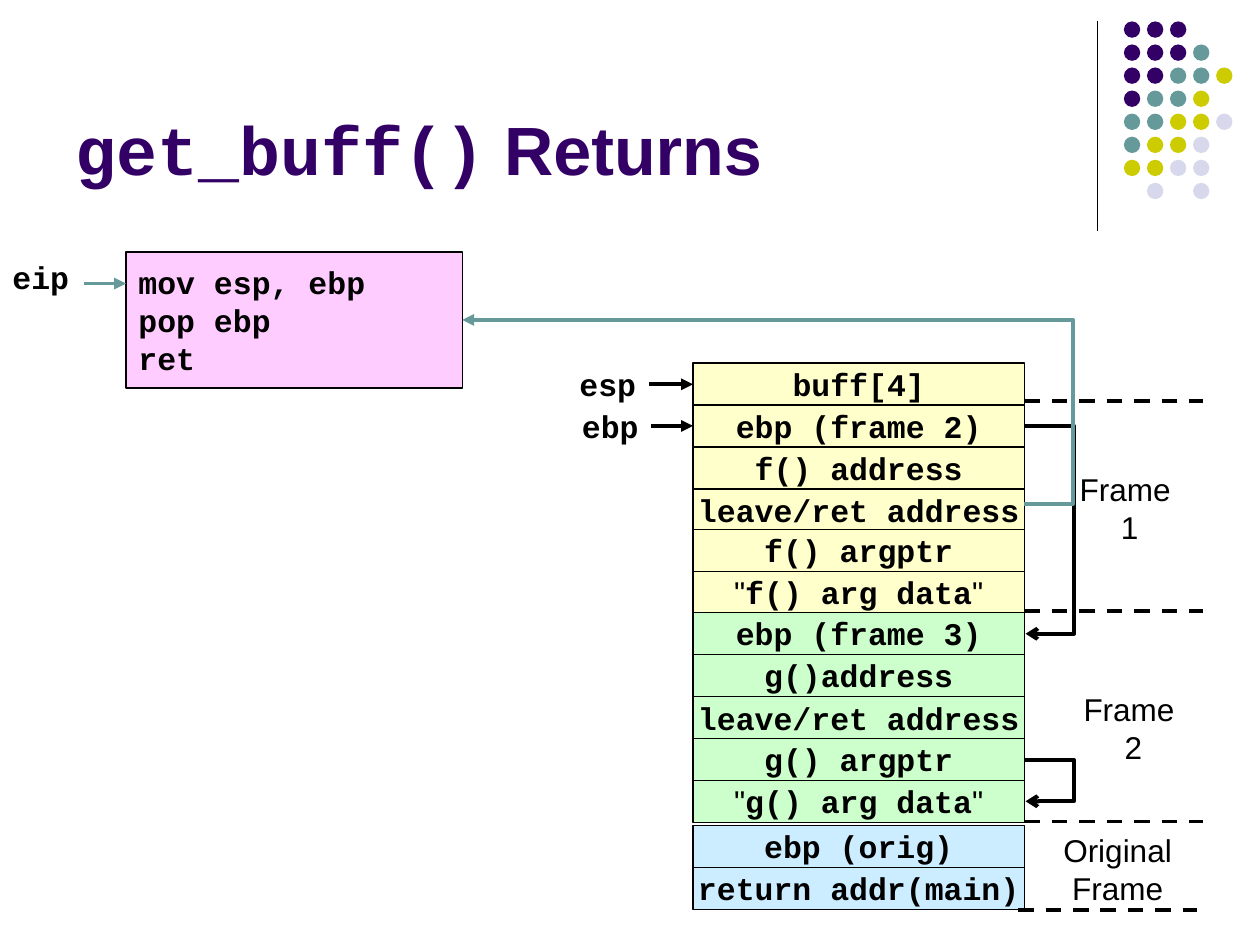
from lxml import etree
from pptx import Presentation
from pptx.dml.color import RGBColor
from pptx.enum.dml import MSO_LINE
from pptx.enum.shapes import MSO_CONNECTOR as CONNECTOR, MSO_SHAPE as SHAPE
from pptx.enum.text import MSO_ANCHOR as ANCHOR, MSO_AUTO_SIZE as AUTO_SIZE, PP_ALIGN as ALIGN
from pptx.oxml.ns import qn
from pptx.util import Inches, Pt

BLACK, PURPLE, TEAL = "000000", "330066", "669999"
YELLOW, GREEN, BLUE, PINK = "FFFFCC", "CCFFCC", "CCECFF", "FFCCFF"
SANS, MONO = "Arial", "Courier New"

DOT_COLORS = {"P": PURPLE, "T": TEAL, "Y": "CCCC00", "L": "D8D8EC"}
DOT_ROWS = ["PPP", "PPPT", "PPTTY", "PTTY", "TTYYL", "TYYL", "YYLL", " L L"]

STACK_LEFT, STACK_RIGHT, ROW_HEIGHT = 5.5, 8.13, 1 / 3
STACKS = [
    (2.88, YELLOW, ["buff[4]", "ebp (frame 2)", "f() address", "leave/ret address"]),
    (4.2, YELLOW, ["f() argptr", '"f() arg data"']),
    (4.86, GREEN, ["ebp (frame 3)", "g()address", "leave/ret address",
                   "g() argptr", '"g() arg data"']),
    (6.55, BLUE, ["ebp (orig)", "return addr(main)"]),
]


def rgb(color):
    """Turn a hex string into a colour."""
    return RGBColor.from_string(color)


def add_run(paragraph, text, font=MONO, size=18, bold=True, color=BLACK):
    """Append formatted text to a paragraph."""
    run = paragraph.add_run()
    run.text = text
    run.font.name = font
    run.font.size = Pt(size)
    run.font.bold = bold
    run.font.color.rgb = rgb(color)


def write_lines(frame, text, align=ALIGN.LEFT, **text_format):
    """Fill an unwrapped text frame with one paragraph per line."""
    frame.word_wrap = False
    for index, line in enumerate(text.split("\n")):
        paragraph = frame.add_paragraph() if index else frame.paragraphs[0]
        paragraph.alignment = align
        add_run(paragraph, line, **text_format)


def add_block(shapes, kind, left, top, width, height, fill, outline=None):
    """Add a filled preset shape, outlined if a colour is given."""
    shape = shapes.add_shape(kind, Inches(left), Inches(top), Inches(width), Inches(height))
    shape.shadow.inherit = False
    shape.fill.solid()
    shape.fill.fore_color.rgb = rgb(fill)
    if outline:
        shape.line.color.rgb = rgb(outline)
        shape.line.width = Pt(0.75)
    else:
        shape.line.fill.background()
    shape.text_frame.vertical_anchor = ANCHOR.MIDDLE
    return shape


def add_label(slide, text, left, top, width, height, **text_format):
    """Add a free-standing label."""
    box = slide.shapes.add_textbox(Inches(left), Inches(top), Inches(width), Inches(height))
    write_lines(box.text_frame, text, **text_format)


def add_line(slide, start, end, color=BLACK, width=2.25, dash=None, head=None, bend=None):
    """Add a line, with an elbow through x = bend if that is given."""
    kind = CONNECTOR.STRAIGHT if bend is None else CONNECTOR.ELBOW
    line = slide.shapes.add_connector(kind, *map(Inches, start + end))
    line.line.color.rgb = rgb(color)
    line.line.width = Pt(width)
    if dash:
        line.line.dash_style = dash
    properties = line._element.spPr
    if head:
        etree.SubElement(properties.find(qn("a:ln")), qn("a:tailEnd"), type=head)
    if bend is not None:
        ratio = (bend - start[0]) / (end[0] - start[0])
        guides = properties.find(qn("a:prstGeom")).find(qn("a:avLst"))
        etree.SubElement(guides, qn("a:gd"), name="adj1", fmla=f"val {round(ratio * 100000)}")
    etree.SubElement(properties, qn("a:effectLst"))


def add_dots(slide):
    """Draw the dotted corner ornament and its rule."""
    add_line(slide, (8.71, 0.17), (8.71, 1.83), width=0.75)
    group = slide.shapes.add_group_shape()
    for row, codes in enumerate(DOT_ROWS):
        for column, code in enumerate(codes):
            if code in DOT_COLORS:
                add_block(group.shapes, SHAPE.OVAL, 8.92 + column * 0.183,
                          0.17 + row * 0.183, 0.13, 0.13, DOT_COLORS[code])


def add_title(slide):
    """Place and write the title."""
    title = slide.shapes.title
    title.left, title.top = Inches(0.5), Inches(0.13)
    title.width, title.height = Inches(8.25), Inches(1.42)
    frame = title.text_frame
    frame.auto_size = AUTO_SIZE.NONE
    frame.vertical_anchor = ANCHOR.BOTTOM
    paragraph = frame.paragraphs[0]
    paragraph.alignment = ALIGN.LEFT
    add_run(paragraph, "get_buff()", size=39, color=PURPLE)
    add_run(paragraph, " Returns", font=SANS, size=39, color=PURPLE)


def add_stack_cell(slide, text, top, fill):
    """Add one memory cell, with any quotation marks in the sans font."""
    cell = add_block(slide.shapes, SHAPE.RECTANGLE, STACK_LEFT, top,
                     STACK_RIGHT - STACK_LEFT, ROW_HEIGHT, fill, BLACK)
    cell.text_frame.word_wrap = False
    paragraph = cell.text_frame.paragraphs[0]
    paragraph.alignment = ALIGN.CENTER
    for index, part in enumerate(text.split('"')):
        if index:
            add_run(paragraph, '"', font=SANS, bold=False)
        if part:
            add_run(paragraph, part)


def add_stack(slide):
    """Draw the memory stack with its frame labels and dividers."""
    for top, fill, cells in STACKS:
        for index, text in enumerate(cells):
            add_stack_cell(slide, text, top + index * ROW_HEIGHT, fill)
    for text, left, top, width in [("Frame \n1", 8.47, 3.68, 0.99),
                                   ("Frame \n2", 8.5, 5.43, 0.99),
                                   ("Original\nFrame", 8.34, 6.55, 1.06)]:
        add_label(slide, text, left, top, width, 0.7, align=ALIGN.CENTER, font=SANS, bold=False)
    for left, y in [(8.13, 3.18), (8.13, 4.85), (8.13, 6.52), (8.08, 7.22)]:
        add_line(slide, (left, y), (left + 1.42, y), dash=MSO_LINE.DASH)


def add_code(slide):
    """Draw the block of instructions."""
    block = add_block(slide.shapes, SHAPE.RECTANGLE, 1, 2, 2.67, 1.08, PINK, BLACK)
    write_lines(block.text_frame, "mov esp, ebp\npop ebp\nret")


def add_pointers(slide):
    """Draw the registers and the arrows between cells and code."""
    for start, end in [(3.38, 5.03), (6.03, 6.36)]:
        add_line(slide, (STACK_RIGHT, start), (STACK_RIGHT + 0.01, end),
                 head="arrow", bend=8.53)
    add_line(slide, (STACK_RIGHT, 4), (3.67, 2.54), TEAL, head="triangle", bend=8.52)
    for name, left, top, start, end, color in [
        ("ebp", 4.52, 3.18, (5.17, 3.38), (5.5, 3.38), BLACK),
        ("esp", 4.5, 2.85, (5.15, 3.05), (5.5, 3.05), BLACK),
        ("eip", 0, 2, (0.67, 2.25), (1, 2.25), TEAL),
    ]:
        add_line(slide, start, end, color, head="triangle")
        add_label(slide, name, left, top, 0.65, 0.4)


def main():
    """Build and save the slide."""
    presentation = Presentation()
    presentation.slide_width, presentation.slide_height = Inches(10), Inches(7.5)
    slide = presentation.slides.add_slide(presentation.slide_layouts[5])
    add_dots(slide)
    add_title(slide)
    add_stack(slide)
    add_code(slide)
    add_pointers(slide)
    presentation.save("out.pptx")


if __name__ == "__main__":
    main()
